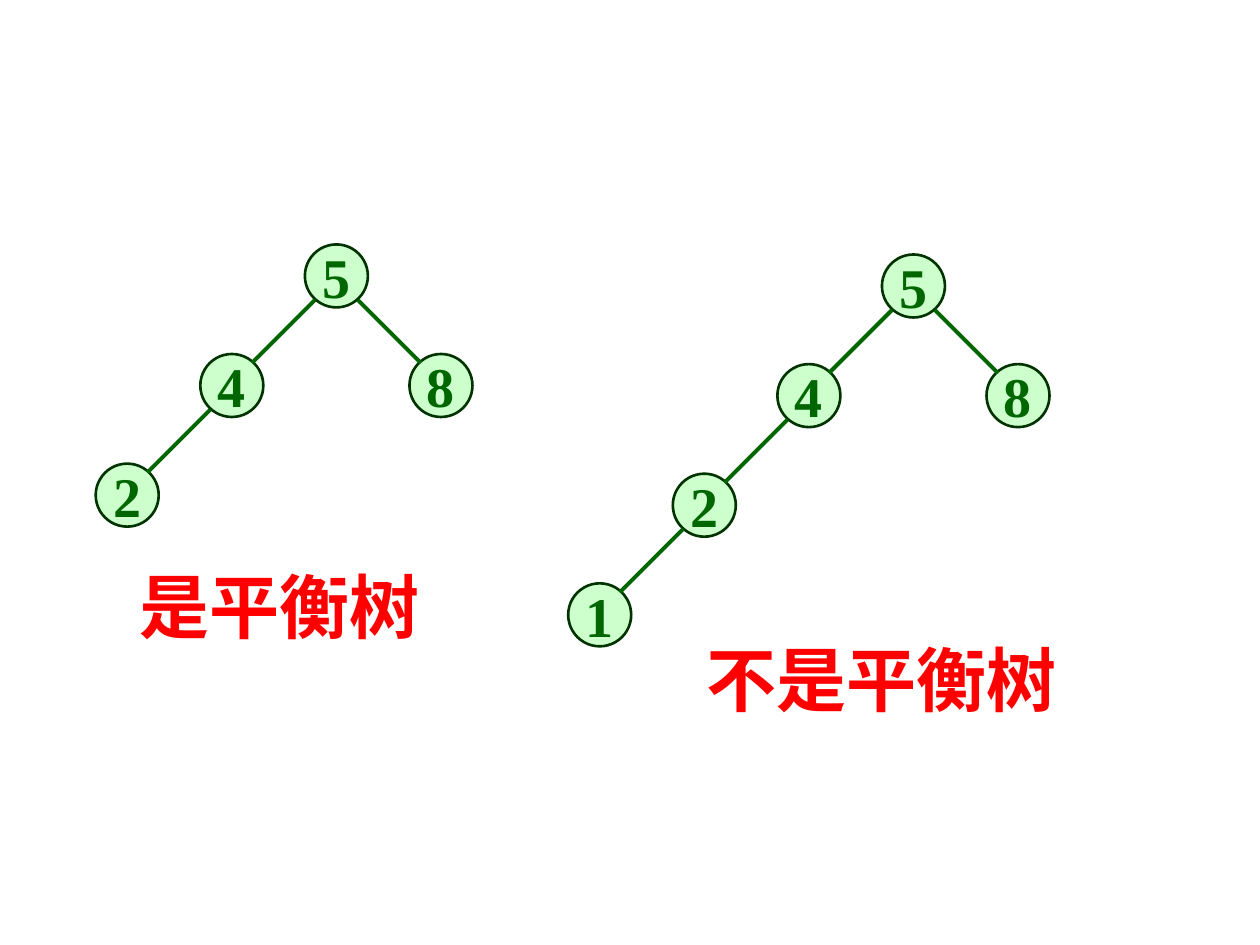
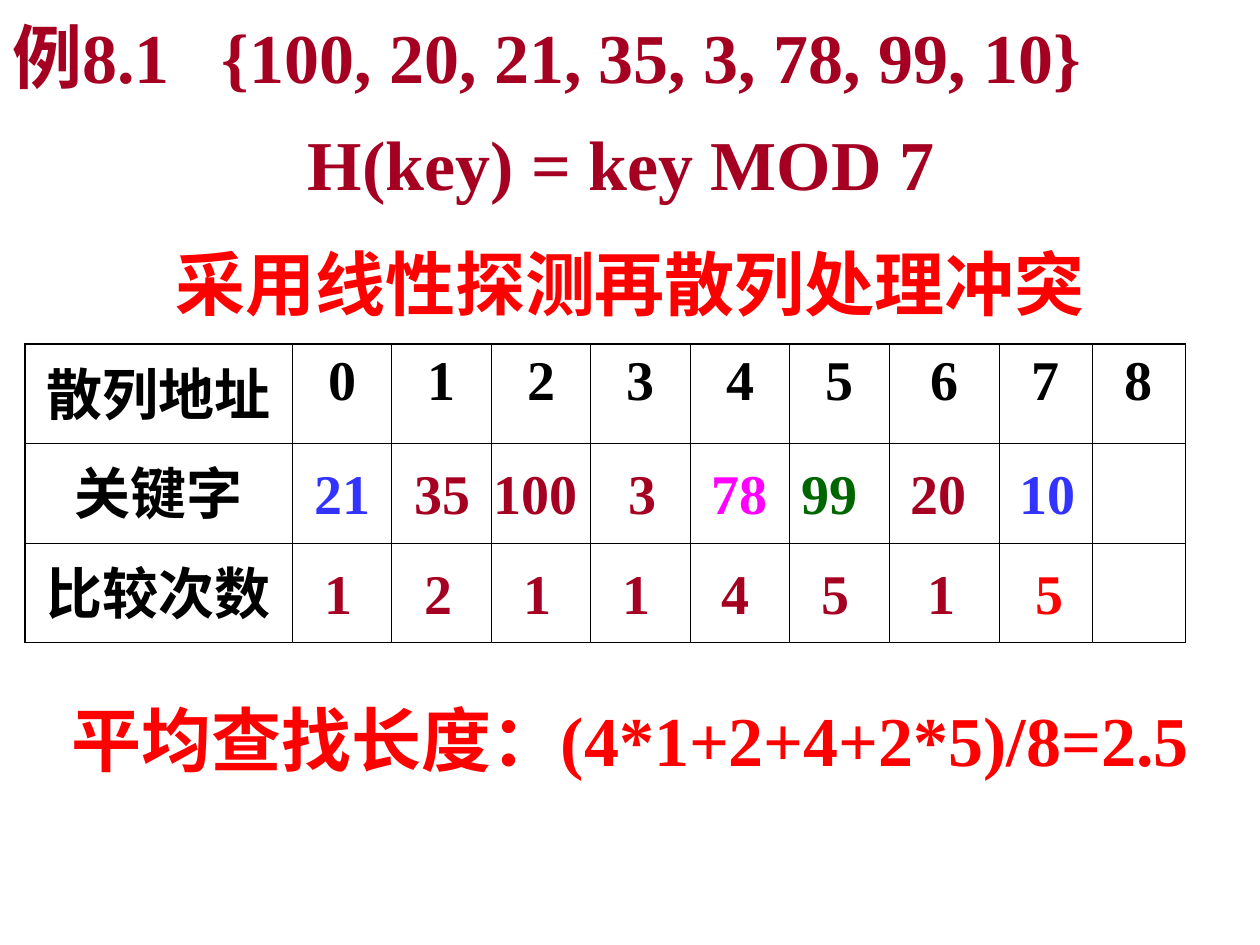
import pptx
import pptx.util
import pptx.dml.color
import pptx.enum.shapes
import pptx.enum.text
import pptx.oxml
from pptx.oxml.ns import nsdecls
from lxml import etree

Inches = pptx.util.Inches
Pt = pptx.util.Pt
ALIGN = pptx.enum.text.PP_ALIGN
ANCHOR = pptx.enum.text.MSO_ANCHOR
AUTOSIZE = pptx.enum.text.MSO_AUTO_SIZE

FONT = "Times New Roman"
RED, CRIMSON, GREEN = "FF0000", "A50021", "006600"
BLUE, MAGENTA, BLACK = "3333FF", "FF00FF", "000000"
NODE_FILL, NODE_LINE = "CCFFCC", "003300"


def rgb(code):
    return pptx.dml.color.RGBColor.from_string(code)


def write(frame, text, size=32, color=BLACK, align=ALIGN.LEFT, anchor=None,
          wrap=None, fit=None, spacing=None):
    """Fill a text frame with one bold paragraph."""
    if wrap is not None:
        frame.word_wrap = wrap
    if fit is not None:
        frame.auto_size = fit
    if anchor is not None:
        frame.vertical_anchor = anchor
    paragraph = frame.paragraphs[0]
    paragraph.alignment = align
    paragraph.line_spacing = spacing
    run = paragraph.add_run()
    run.text = text
    run.font.name = FONT
    run.font.size = Pt(size)
    run.font.bold = True
    run.font.color.rgb = rgb(color)
    return paragraph


deck = pptx.Presentation()
deck.slide_width, deck.slide_height = Inches(10), Inches(7.5)

# Slide 1: a balanced and an unbalanced tree
slide = deck.slides.add_slide(deck.slide_layouts[6])
NODE_SIZE, STEP_X, STEP_Y = 0.5, 0.83, 0.87
EDGE_TOP, EDGE_LENGTH = 0.44, 0.5

# Each node: value, column and row relative to the root
balanced = [("5", 0, 0), ("4", -1, 1), ("8", 1, 1), ("2", -2, 2)]
unbalanced = balanced + [("1", -3, 3)]
trees = [
    (balanced, 2.42, 1.94, "是平衡树", 1.01, 4.42, 2.44),
    (unbalanced, 7, 2.02, "不是平衡树", 5.51, 5, 3),
]
for nodes, root_left, root_top, verdict, left, top, width in trees:
    tree = slide.shapes.add_group_shape().shapes
    for value, column, row in nodes:
        node = tree.add_shape(
            pptx.enum.shapes.MSO_SHAPE.OVAL,
            Inches(root_left + column * STEP_X), Inches(root_top + row * STEP_Y),
            Inches(NODE_SIZE), Inches(NODE_SIZE))
        node.shadow.inherit = False
        node.fill.solid()
        node.fill.fore_color.rgb = rgb(NODE_FILL)
        node.line.color.rgb = rgb(NODE_LINE)
        node.line.width = Pt(1.5)
        write(node.text_frame, value, color=GREEN, align=ALIGN.CENTER,
              anchor=ANCHOR.MIDDLE, wrap=False)

    # Edges run from the parent down to every node but the root
    for value, column, row in nodes[1:]:
        side = 1 if column > 0 else -1
        start_x = root_left + (column - side) * STEP_X + NODE_SIZE / 2 + side * 0.17
        start_y = root_top + (row - 1) * STEP_Y + EDGE_TOP
        edge = tree.add_connector(
            pptx.enum.shapes.MSO_CONNECTOR.STRAIGHT,
            Inches(start_x), Inches(start_y),
            Inches(start_x + side * EDGE_LENGTH), Inches(start_y + EDGE_LENGTH))
        edge.line.color.rgb = rgb(GREEN)
        edge.line.width = Pt(2.25)
        etree.SubElement(edge._element.spPr, pptx.oxml.ns.qn("a:effectLst"))

    caption = slide.shapes.add_textbox(Inches(left), Inches(top), Inches(width), Inches(0.77))
    write(caption.text_frame, verdict, size=40, color=RED, wrap=False,
          fit=AUTOSIZE.SHAPE_TO_FIT_TEXT)

# Slide 2: hashing with linear probing
slide = deck.slides.add_slide(deck.slide_layouts[5])
title = slide.shapes.title
title.left, title.top, title.width, title.height = (
    Inches(0), Inches(-0.11), Inches(10), Inches(0.94))
heading = write(title.text_frame, "例8.1\t{100, 20, 21, 35, 3, 78, 99, 10}", size=40,
                color=CRIMSON, anchor=ANCHOR.TOP, wrap=True, fit=AUTOSIZE.NONE, spacing=1.25)
heading._p.get_or_add_pPr().append(pptx.oxml.parse_xml(
    f'<a:tabLst {nsdecls("a")}><a:tab pos="{Inches(1.66)}" algn="l"/></a:tabLst>'))

# Statements above and below the table
statements = [
    ("H(key) = key MOD 7", 0.91, 9.86, CRIMSON),
    ("采用线性探测再散列处理冲突", 1.86, 10, RED),
    ("平均查找长度：(4*1+2+4+2*5)/8=2.5", 5.48, 10, RED),
]
for text, top, width, color in statements:
    statement = slide.shapes.add_textbox(Inches(0), Inches(top), Inches(width), Inches(0.77))
    write(statement.text_frame, text, size=40, color=color, align=ALIGN.CENTER, wrap=True,
          fit=AUTOSIZE.SHAPE_TO_FIT_TEXT)

# Hash table grid
row_labels = ["散列地址", "关键字", "比较次数"]
column_widths = [2.12] + [0.79] * 6 + [0.87, 0.74, 0.74]
last_row, last_column = len(row_labels) - 1, len(column_widths) - 1
hash_table = slide.shapes.add_table(
    len(row_labels), len(column_widths), Inches(0.2), Inches(2.73),
    Inches(sum(column_widths)), Inches(0.79 * len(row_labels))).table
hash_table.first_row = hash_table.horz_banding = False
for column, width in enumerate(column_widths):
    hash_table.columns[column].width = Inches(width)

for r, label in enumerate(row_labels):
    hash_table.rows[r].height = Inches(0.79)
    for c in range(len(column_widths)):
        cell = hash_table.cell(r, c)
        cell.fill.background()
        outer_sides = {"lnL": c == 0, "lnR": c == last_column,
                       "lnT": r == 0, "lnB": r == last_row}
        for position, (side, is_outer) in enumerate(outer_sides.items()):
            border = pptx.oxml.parse_xml(
                f'<a:{side} {nsdecls("a")} w="{Pt(1.08 if is_outer else 0.45)}">'
                f'<a:solidFill><a:srgbClr val="{BLACK}"/></a:solidFill></a:{side}>')
            cell._tc.get_or_add_tcPr().insert(position, border)
        if c == 0:
            write(cell.text_frame, label, align=ALIGN.CENTER)
        elif r == 0:
            write(cell.text_frame, str(c - 1), align=ALIGN.CENTER)

# Keys and comparison counts laid over the grid: text, left, colour
keys = [
    ("21", 2.4, BLUE), ("35", 3.19, CRIMSON), ("100", 3.82, CRIMSON), ("3", 4.89, CRIMSON),
    ("78", 5.55, MAGENTA), ("99", 6.26, GREEN), ("20", 7.13, CRIMSON), ("10", 7.99, BLUE),
]
counts = [
    ("1", 2.48, CRIMSON), ("2", 3.27, CRIMSON), ("1", 4.06, CRIMSON), ("1", 4.84, CRIMSON),
    ("4", 5.63, CRIMSON), ("5", 6.42, CRIMSON), ("1", 7.26, CRIMSON), ("5", 8.12, RED),
]
DIGIT_WIDTH = 0.23
for entries, top in [(keys, 3.59), (counts, 4.38)]:
    for text, left, color in entries:
        entry = slide.shapes.add_textbox(
            Inches(left), Inches(top), Inches(0.2 + DIGIT_WIDTH * len(text)), Inches(0.64))
        write(entry.text_frame, text, color=color, wrap=False,
              fit=AUTOSIZE.SHAPE_TO_FIT_TEXT)

deck.save("out.pptx")
